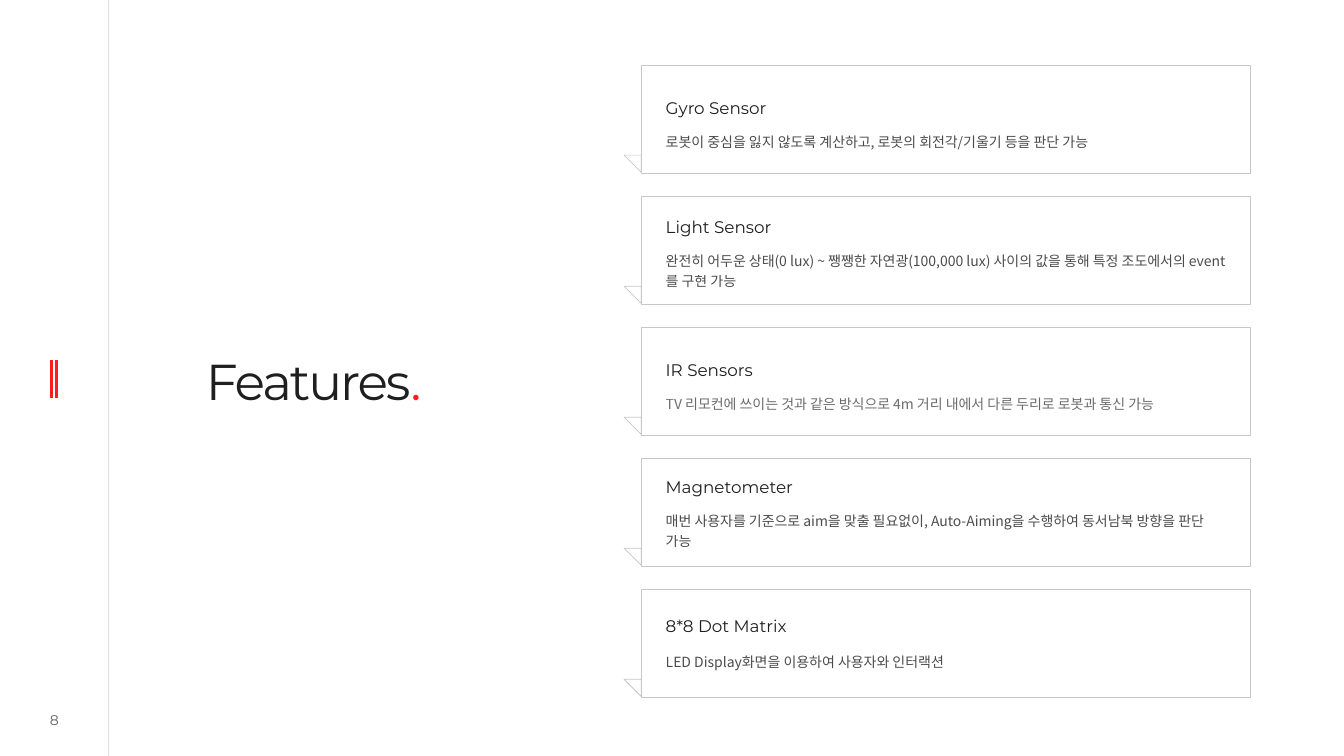
from dataclasses import dataclass

from lxml.etree import SubElement
from pptx import Presentation
from pptx.dml.color import RGBColor
from pptx.enum.shapes import MSO_CONNECTOR, MSO_SHAPE
from pptx.enum.text import MSO_ANCHOR, MSO_AUTO_SIZE, PP_ALIGN
from pptx.oxml.ns import qn
from pptx.util import Pt


@dataclass(frozen=True)
class Theme:
    ink: RGBColor = RGBColor(0x1F, 0x1F, 0x1F)
    red: RGBColor = RGBColor(0xFE, 0x1C, 0x1D)
    edge: RGBColor = RGBColor(0xC7, 0xC7, 0xC7)
    latin: str = "Montserrat"
    korean: str = "Noto Sans CJK KR"
    title: int = 36
    head: int = 12
    body: int = 10


THEME = Theme()

# heading, description, heading offset in card, gap to description, opacity
CARDS = [
    ("Gyro Sensor",
     "로봇이 중심을 잃지 않도록 계산하고, 로봇의 회전각/기울기 등을 판단 가능",
     23.5, 19, 80),
    ("Light Sensor",
     "완전히 어두운 상태(0 lux) ~ 쨍쨍한 자연광(100,000 lux) 사이의 값을 통해 "
     "특정 조도에서의 event를 구현 가능",
     14.5, 19.5, 80),
    ("IR Sensors",
     "TV 리모컨에 쓰이는 것과 같은 방식으로 4m 거리 내에서 다른 두리로 로봇과 통신 가능",
     23.5, 19, 65),
    ("Magnetometer",
     "매번 사용자를 기준으로 aim을 맞출 필요없이, Auto-Aiming을 수행하여 "
     "동서남북 방향을 판단 가능",
     13.5, 19, 80),
    ("8*8 Dot Matrix", "LED Display화면을 이용하여 사용자와 인터랙션", 19, 20.5, 80),
]
LEFT, TOP, WIDTH, HEIGHT, PITCH = 458, 46.8, 435, 77, 93.6
INSET, TAIL = 17.5, 12.25


def fade(node, opacity):
    """Set the opacity, in percent, of every colour inside node."""
    for color in node.iter(qn("a:srgbClr")):
        SubElement(color, qn("a:alpha"), val=str(opacity * 1000))


def add_line(slide, x, top, bottom, color, weight, opacity=100):
    line = slide.shapes.add_connector(
        MSO_CONNECTOR.STRAIGHT, Pt(x), Pt(top), Pt(x), Pt(bottom))
    line.line.color.rgb = color
    line.line.width = Pt(weight)
    props = line._element.spPr
    SubElement(props, qn("a:effectLst"))
    if opacity < 100:
        fade(props, opacity)


def add_text(shapes, text, box, size, font, pad=0, space=1.0, opacity=100):
    shape = shapes.add_textbox(*map(Pt, box))
    frame = shape.text_frame
    frame.word_wrap = True
    frame.margin_left = frame.margin_right = 0
    frame.margin_top = frame.margin_bottom = Pt(pad)
    para = frame.paragraphs[0]
    para.text = text
    para.line_spacing = space
    para.font.size = Pt(size)
    para.font.color.rgb = THEME.ink
    para.font.name = font
    props = para._p.pPr
    SubElement(props.find(qn("a:defRPr")), qn("a:ea"), typeface=font)
    if opacity < 100:
        fade(props, opacity)
    return frame


def add_frame(shapes, kind, box):
    """Add an unfilled shape with a thin grey outline."""
    shape = shapes.add_shape(kind, *map(Pt, box))
    shape.shadow.inherit = False
    shape.fill.background()
    shape.line.color.rgb = THEME.edge
    shape.line.width = Pt(0.5)
    return shape


def add_card(slide, top, head, body, drop, gap, opacity):
    shapes = slide.shapes.add_group_shape().shapes
    add_frame(shapes, MSO_SHAPE.RECTANGLE, (LEFT, top, WIDTH, HEIGHT))
    x, y, wide = LEFT + INSET, top + drop, WIDTH - 2 * INSET
    add_text(shapes, head, (x, y, wide, 18), THEME.head, THEME.latin,
             pad=3.6, space=0.7)
    add_text(shapes, body, (x, y + gap, wide, 21), THEME.body, THEME.korean,
             pad=3.6, space=1.2, opacity=opacity)
    tail = add_frame(shapes, MSO_SHAPE.RIGHT_TRIANGLE,
                     (LEFT - TAIL, top + 64, TAIL, TAIL))
    tail.rotation = 180


def set_title(slide):
    title = slide.shapes.title
    title.left, title.top, title.width, title.height = map(
        Pt, (147, 243.5, 169, 52.5))
    frame = title.text_frame
    frame.auto_size = MSO_AUTO_SIZE.NONE
    frame.vertical_anchor = MSO_ANCHOR.TOP
    frame.margin_left = frame.margin_right = frame.margin_bottom = 0
    frame.margin_top = Pt(15)
    para = frame.paragraphs[0]
    para.alignment = PP_ALIGN.LEFT
    para.line_spacing = 0.8
    for text, color in (("Features", THEME.ink), (".", THEME.red)):
        run = para.add_run()
        run.text = text
        run.font.size = Pt(THEME.title)
        run.font.name = THEME.latin
        run.font.color.rgb = color
        run._r.get_or_add_rPr().set("spc", "-150")


def main():
    deck = Presentation()
    deck.slide_width, deck.slide_height = Pt(960), Pt(540)
    slide = deck.slides.add_slide(deck.slide_layouts[5])

    add_line(slide, 77.75, 0, 540, THEME.ink, 0.5, opacity=20)
    for x in (36.75, 40.5):
        add_line(slide, x, 257, 284.5, THEME.red, 2)
    number = add_text(slide.shapes, "8", (18.75, 505.5, 40, 18),
                      THEME.body, THEME.latin, opacity=70)
    number.vertical_anchor = MSO_ANCHOR.MIDDLE
    number.paragraphs[0].alignment = PP_ALIGN.CENTER

    set_title(slide)
    for index, card in enumerate(CARDS):
        add_card(slide, TOP + index * PITCH, *card)
    deck.save("out.pptx")


if __name__ == "__main__":
    main()
